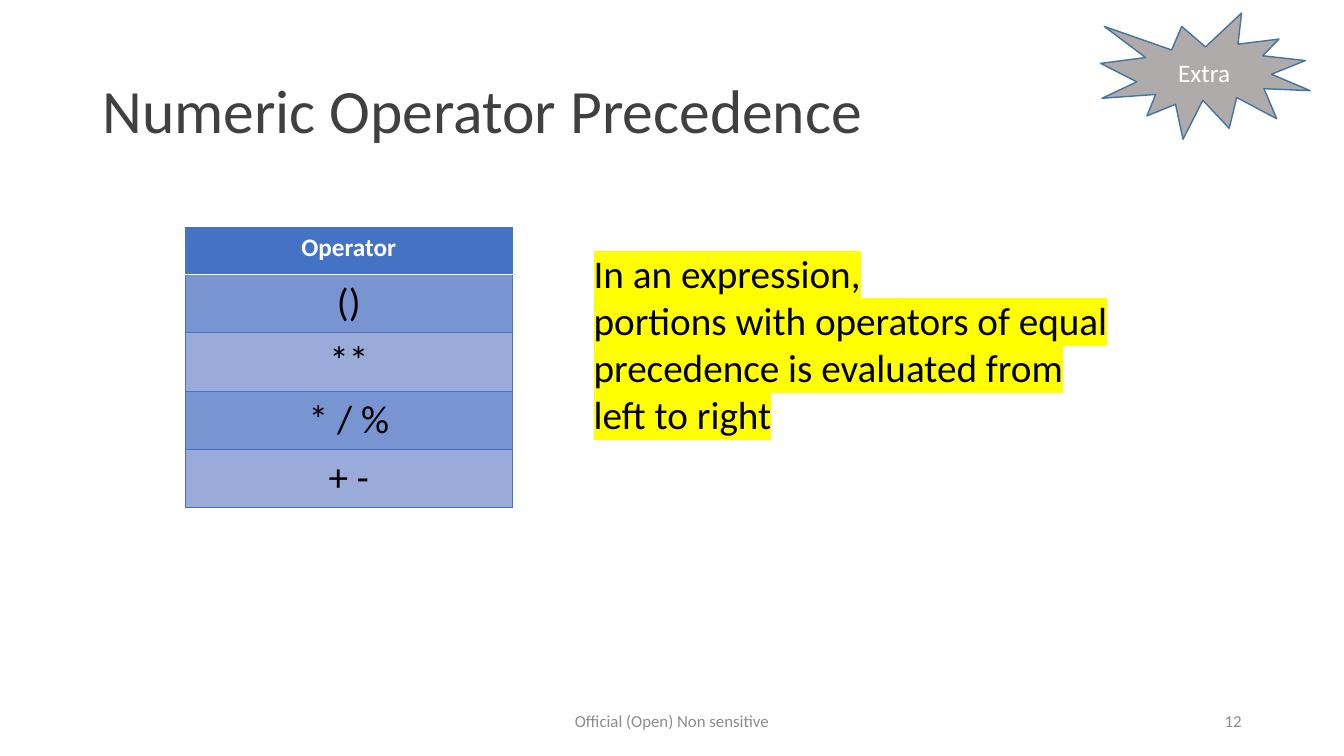
from lxml.etree import SubElement
from pptx import Presentation
from pptx.dml.color import RGBColor
from pptx.enum.shapes import MSO_SHAPE as SHAPE
from pptx.enum.text import MSO_ANCHOR as ANCHOR, PP_ALIGN as ALIGN
from pptx.oxml import parse_xml
from pptx.oxml.ns import nsdecls, qn
from pptx.util import Cm, Pt

BLUE, WHITE, GREY = "4472C4", "FFFFFF", "8C8C8C"
BANDS = ("7894D1", "9BABD9")


def rgb(value):
    return RGBColor.from_string(value)


def put_text(tf, text, size=18, color="000000", bold=False, align=ALIGN.LEFT,
             anchor=ANCHOR.TOP, spacing=None, highlight=None, font="Calibri"):
    """Fill a text frame, one paragraph for each line of text."""
    tf.word_wrap = True
    tf.vertical_anchor = anchor
    for i, line in enumerate(text.split("\n")):
        p = tf.paragraphs[0] if i == 0 else tf.add_paragraph()
        p.alignment = align
        if spacing:
            p.line_spacing = spacing
        r = p.add_run()
        r.text = line
        r.font.size = Pt(size)
        r.font.bold = bold
        r.font.name = font
        r.font.color.rgb = rgb(color)
        if highlight:
            mark = parse_xml(f'<a:highlight {nsdecls("a")}>'
                             f'<a:srgbClr val="{highlight}"/></a:highlight>')
            r.font._element.find(qn("a:solidFill")).addnext(mark)


def set_borders(cell, **edges):
    """Draw the edges L, R, T and B, each given as (colour, points)."""
    tcPr = cell._tc.get_or_add_tcPr()
    for i, side in enumerate("LRTB"):
        color, width = edges.get(side, (BLUE, 0.5))
        ln = parse_xml(f'<a:ln{side} {nsdecls("a")} w="{Pt(width)}"/>')
        fill = SubElement(ln, qn("a:solidFill"))
        SubElement(fill, qn("a:srgbClr"), val=color)
        tcPr.insert(i, ln)


class SlideBuilder:
    def __init__(self, prs):
        self.s = prs.slides.add_slide(prs.slide_layouts[6])

    def text(self, box, text, **style):
        sp = self.s.shapes.add_textbox(*map(Cm, box))
        put_text(sp.text_frame, text, **style)

    def badge(self, kind, box, text, fill, line, **style):
        sp = self.s.shapes.add_shape(kind, *map(Cm, box))
        sp.shadow.inherit = False
        sp.fill.solid()
        sp.fill.fore_color.rgb = rgb(fill)
        sp.line.color.rgb = rgb(line)
        sp.line.width = Pt(1)
        put_text(sp.text_frame, text, align=ALIGN.CENTER,
                 anchor=ANCHOR.MIDDLE, **style)

    def operator_table(self, left, top, width, header, operators,
                       header_height=1.19, row_height=1.47):
        height = header_height + row_height * len(operators)
        table = self.s.shapes.add_table(
            len(operators) + 1, 1, *map(Cm, (left, top, width, height))).table
        table.horz_banding = False
        for i, text in enumerate([header, *operators]):
            is_header = i == 0
            table.rows[i].height = Cm(header_height if is_header else row_height)
            cell = table.cell(i, 0)
            cell.fill.solid()
            cell.fill.fore_color.rgb = rgb(BLUE if is_header else BANDS[(i - 1) % 2])
            put_text(cell.text_frame, text, align=ALIGN.CENTER, bold=is_header,
                     size=18 if is_header else 28,
                     color=WHITE if is_header else "000000")
            divider = {0: "B", 1: "T"}.get(i)
            set_borders(cell, **({divider: (WHITE, 1)} if divider else {}))


def main():
    prs = Presentation()
    prs.slide_width, prs.slide_height = Cm(33.87), Cm(19.05)
    slide = SlideBuilder(prs)
    slide.text((2.33, 1.01, 29.21, 3.68), "Numeric Operator Precedence", size=44,
               color="404040", anchor=ANCHOR.MIDDLE, spacing=0.9)
    footer = dict(size=12, color=GREY, anchor=ANCHOR.MIDDLE)
    slide.text((23.92, 17.66, 7.62, 1.01), "12", align=ALIGN.RIGHT, **footer)
    slide.text((11.22, 17.66, 11.43, 1.01), "Official (Open) Non sensitive",
               align=ALIGN.CENTER, **footer)
    slide.badge(SHAPE.EXPLOSION1, (27.74, 0.33, 5.28, 3.18), "Extra",
                fill="AFABAB", line="43739E", color=WHITE)
    slide.operator_table(4.66, 5.72, 8.26, "Operator", ["()", "**", "* / %", "+ -"])
    slide.text((14.71, 6.15, 13.64, 5.05),
               "In an expression,\nportions with operators of equal precedence "
               "is evaluated from left to right", size=28, highlight="FFFF00")
    prs.save("out.pptx")


if __name__ == "__main__":
    main()
